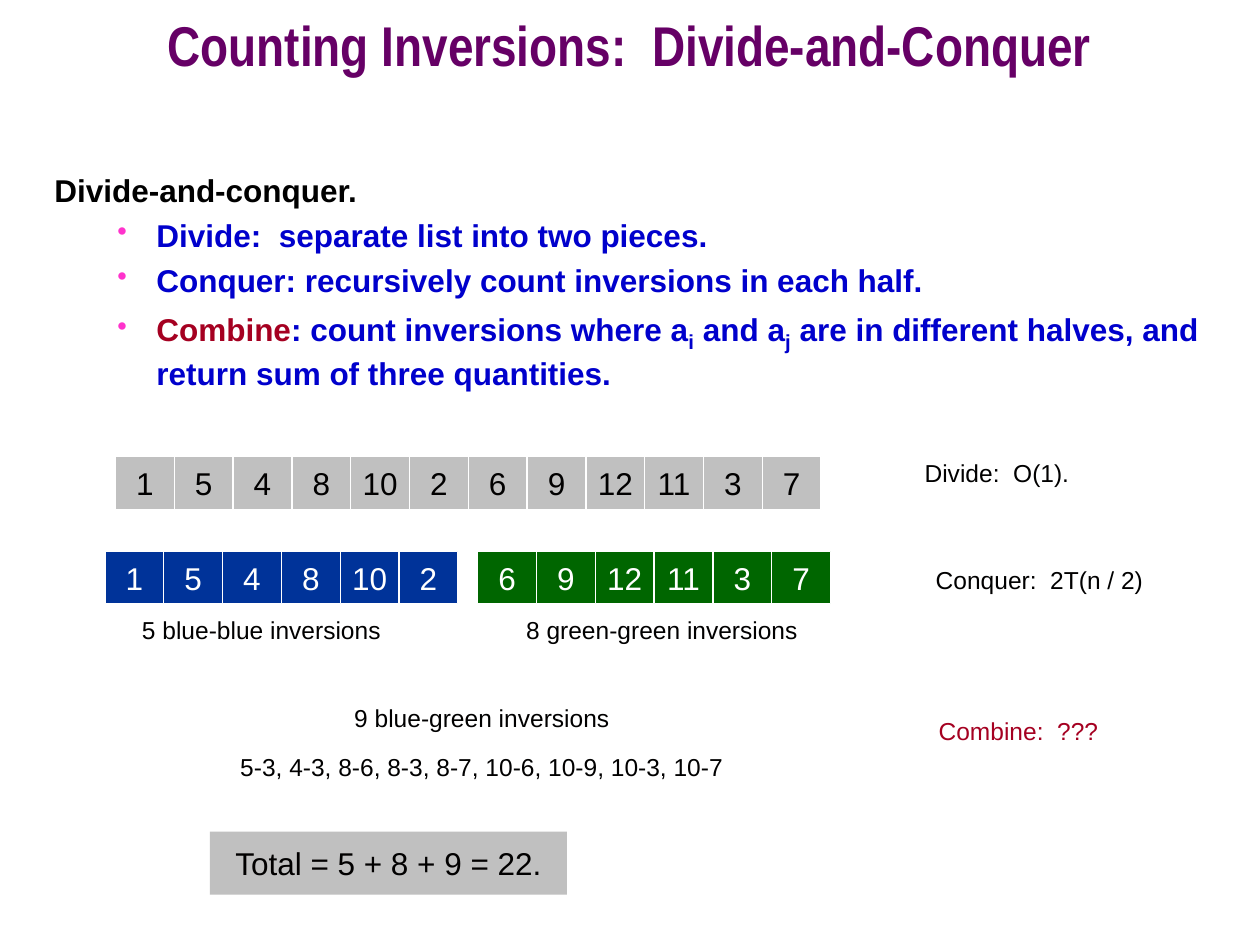
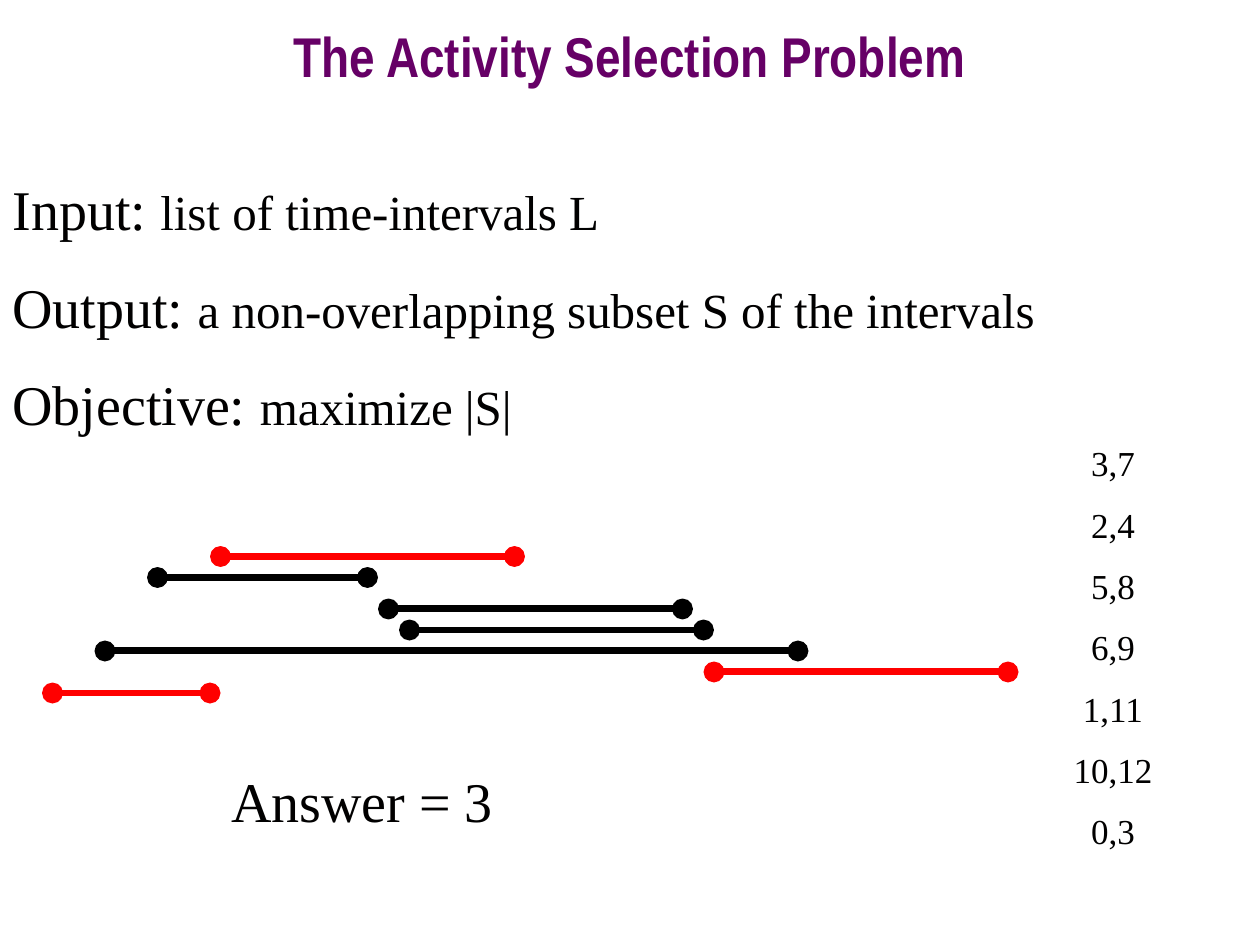
from dataclasses import dataclass, replace

from lxml.etree import SubElement
from pptx import Presentation
from pptx.dml.color import RGBColor
from pptx.enum.shapes import MSO_CONNECTOR, MSO_SHAPE
from pptx.enum.text import MSO_ANCHOR, MSO_AUTO_SIZE, PP_ALIGN
from pptx.oxml.ns import qn
from pptx.util import Inches, Pt

COLS, ROWS = 120, 90  # the slide grid: twelve units to the inch


@dataclass(frozen=True)
class Style:
    size: float
    color: str
    font: str = "Arial"
    bold: bool = False
    baseline: int = 0


@dataclass(frozen=True)
class Theme:
    ink: str = "010000"
    black: str = "000000"
    white: str = "FFFFFF"
    gray: str = "C0C0C0"
    blue: str = "003399"
    green: str = "006600"
    red: str = "FF0000"
    bullet: str = "FF33CC"
    title: Style = Style(32, "660066", "Arial Narrow", True)
    heading: Style = Style(18, "000000", bold=True)
    point: Style = Style(18, "0000CC", bold=True)
    alert: Style = Style(18, "A50021", bold=True)
    subscript: Style = Style(20, "0000CC", bold=True, baseline=-25000)
    number: Style = Style(18, "010000")
    note: Style = Style(14, "010000")
    open_note: Style = Style(14, "A50021")
    term: Style = Style(32, "010000", "Times New Roman")
    meaning: Style = Style(28, "010000", "Times New Roman")
    pair: Style = Style(20, "010000", "Times New Roman")


T = Theme()


class Deck:
    def __init__(self):
        self.prs = Presentation()
        self.prs.slide_width, self.prs.slide_height = Inches(10), Inches(7.5)
        self.s = None

    def grid(self, x, y):
        return (round(self.prs.slide_width * x / COLS),
                round(self.prs.slide_height * y / ROWS))

    def box(self, x, y, w, h):
        return *self.grid(x, y), *self.grid(w, h)

    def slide(self, title, *area):
        self.s = self.prs.slides.add_slide(self.prs.slide_layouts[5])
        sp = self.s.shapes.title
        sp.left, sp.top, sp.width, sp.height = self.box(*area)
        self.set_text(sp.text_frame, [[(title, T.title)]], line=0.7)

    def set_text(self, tf, paragraphs, align=PP_ALIGN.CENTER, gap=0, line=None,
                 anchor=MSO_ANCHOR.MIDDLE, wrap=True):
        """Fill a frame with paragraphs, each a list of (text, style) runs."""
        tf.auto_size, tf.word_wrap = MSO_AUTO_SIZE.NONE, wrap
        tf.vertical_anchor = anchor
        for i, runs in enumerate(paragraphs):
            p = tf.add_paragraph() if i else tf.paragraphs[0]
            p.alignment = align
            if i:
                p.space_before = Pt(gap)
            if line:
                p.line_spacing = line
            for text, style in runs:
                r = p.add_run()
                r.text = text
                self.style_run(r, style)

    def style_run(self, r, style):
        f = r.font
        f.name, f.size, f.bold = style.font, Pt(style.size), style.bold
        f.color.rgb = RGBColor.from_string(style.color)
        if style.baseline:
            r._r.get_or_add_rPr().set("baseline", str(style.baseline))

    def text(self, area, paragraphs, **layout):
        tf = self.s.shapes.add_textbox(*self.box(*area)).text_frame
        self.set_text(tf, paragraphs, **layout)
        return tf

    def rect(self, area, text, fill, style, edge=None, wrap=True):
        sp = self.s.shapes.add_shape(MSO_SHAPE.RECTANGLE, *self.box(*area))
        sp.shadow.inherit = False
        sp.fill.solid()
        sp.fill.fore_color.rgb = RGBColor.from_string(fill)
        if edge:
            sp.line.color.rgb = RGBColor.from_string(edge)
            sp.line.width = Pt(0.75)
        else:
            sp.line.fill.background()
        self.set_text(sp.text_frame, [[(text, style)]], wrap=wrap)

    def array(self, x, y, values, fill, color):
        w, h = 5.6, 5
        style = replace(T.number, color=color)
        for i, value in enumerate(values):
            self.rect((x + i * w, y, w, h), str(value), fill, style,
                      edge=T.white, wrap=False)

    def bullet(self, p):
        p.level = 1
        pPr = p._p.get_or_add_pPr()
        pPr.set("marL", str(Inches(0.81)))
        pPr.set("indent", str(Inches(-0.31)))
        color = SubElement(pPr, qn("a:buClr"))
        SubElement(color, qn("a:srgbClr"), val=T.bullet)
        SubElement(pPr, qn("a:buSzPct"), val="90000")
        SubElement(pPr, qn("a:buChar"), char="•")

    def interval(self, start, end, y, color):
        c = self.s.shapes.add_connector(
            MSO_CONNECTOR.STRAIGHT, *self.grid(start, y), *self.grid(end, y))
        c.line.color.rgb = RGBColor.from_string(color)
        c.line.width = Pt(4)
        spPr = c._element.spPr
        ln = spPr.find(qn("a:ln"))
        for tip in ("a:headEnd", "a:tailEnd"):
            SubElement(ln, qn(tip), type="oval")
        SubElement(spPr, qn("a:effectLst"))


def counting_inversions(deck):
    deck.slide("Counting Inversions:  Divide-and-Conquer", 0, 0, COLS, 10)

    values = [1, 5, 4, 8, 10, 2, 6, 9, 12, 11, 3, 7]
    half = len(values) // 2
    deck.array(11, 43.5, values, T.gray, T.ink)
    deck.array(10, 52.5, values[:half], T.blue, T.white)
    deck.array(45.5, 52.5, values[half:], T.green, T.white)

    for x, w, text in [(11.9, 26, "5 blue-blue inversions"),
                       (48.4, 29.3, "8 green-green inversions")]:
        deck.text((x, 57.8, w, 4.4), [[(text, T.note)]], wrap=False)
    for y, w, text, style in [(42.8, 17.9, "Divide:  O(1).", T.note),
                              (53, 26, "Conquer:  2T(n / 2)", T.note),
                              (67.4, 22, "Combine:  ???", T.open_note)]:
        deck.text((86, y, w, 4.4), [[(text, style)]])

    deck.text((11.9, 65.9, 68, 9),
              [[("9 blue-green inversions", T.note)],
               [("5-3, 4-3, 8-6, 8-3, 8-7, 10-6, 10-9, 10-3, 10-7", T.note)]],
              gap=8, line=1.2)
    deck.rect((20, 79.2, 34, 6), "Total = 5 + 8 + 9 = 22.", T.gray, T.number)

    tf = deck.text((4, 15.3, 113, 70), [
        [("Divide-and-conquer.", T.heading)],
        [("Divide:  separate list into two pieces.", T.point)],
        [("Conquer: recursively count inversions in each half.", T.point)],
        [("Combine", T.alert), (": count inversions where a", T.point),
         ("i", T.subscript), (" and a", T.point), ("j", T.subscript),
         (" are in different halves, and return sum of three quantities.",
          T.point)],
    ], align=PP_ALIGN.LEFT, gap=4.2, anchor=MSO_ANCHOR.TOP)
    tf.paragraphs[0].line_spacing = 1.1
    for p in tf.paragraphs[1:]:
        deck.bullet(p)


def activity_selection(deck):
    deck.slide("The Activity Selection Problem", 9, 2, 102, 8)

    definitions = [("Input: ", "list of time-intervals L"),
                   ("Output: ", "a non-overlapping subset S of the intervals"),
                   ("Objective: ", "maximize |S|")]
    deck.text((0, 16, 100, 27),
              [[(term, T.term), (meaning, T.meaning)]
               for term, meaning in definitions],
              align=PP_ALIGN.LEFT, gap=17.5, anchor=MSO_ANCHOR.TOP)

    for start, end, y, color in [(21, 49, 53, T.red), (15, 35, 55, T.black),
                                 (37, 65, 58, T.black), (39, 67, 60, T.black),
                                 (10, 76, 62, T.black), (68, 96, 64, T.red),
                                 (5, 20, 66, T.red)]:
        deck.interval(start, end, y, color)

    pairs = ["3,7", "2,4", "5,8", "6,9", "1,11", "10,12", "0,3"]
    deck.text((101, 41.5, 10, 41.6), [[(pair, T.pair)] for pair in pairs],
              gap=11, anchor=MSO_ANCHOR.TOP, wrap=False)
    deck.text((20.8, 72.4, 27.4, 7.6), [[("Answer = 3", T.term)]], wrap=False)


def main():
    deck = Deck()
    counting_inversions(deck)
    activity_selection(deck)
    deck.prs.save("out.pptx")


if __name__ == "__main__":
    main()
